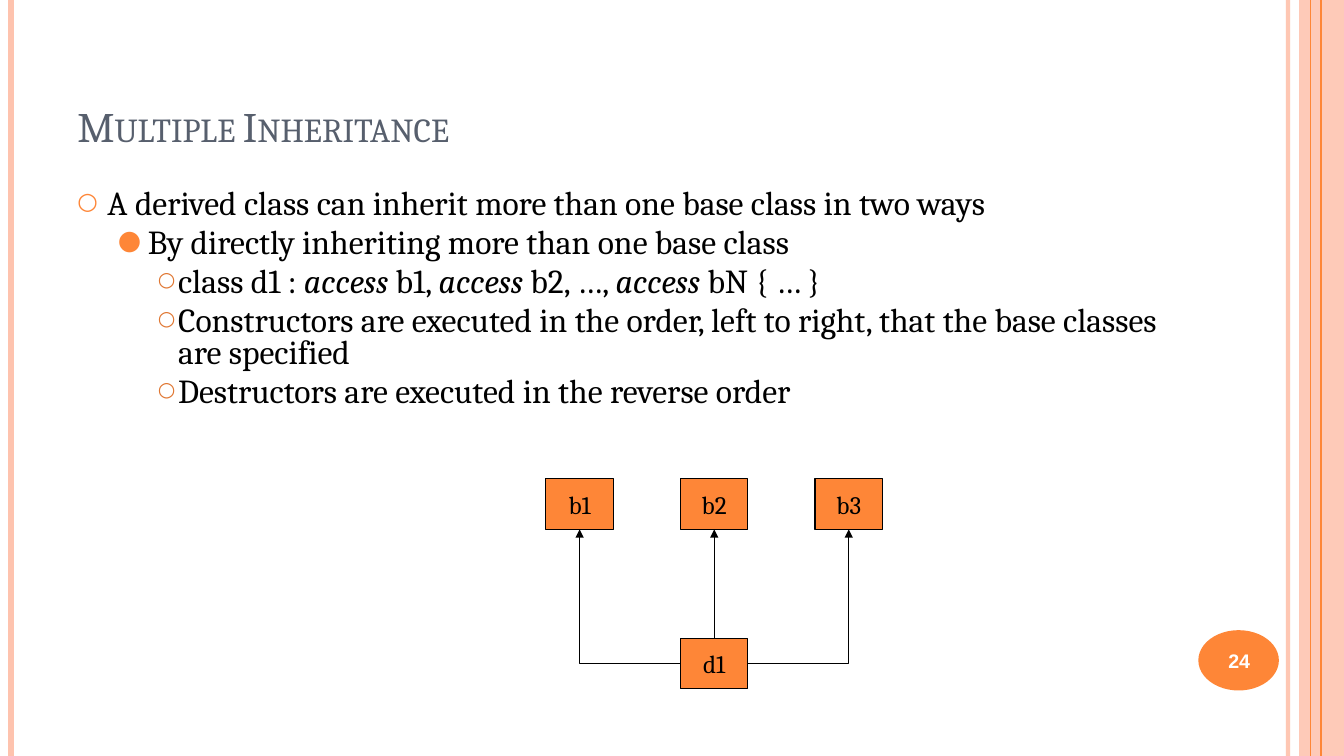
from dataclasses import dataclass

from lxml import etree
from pptx import Presentation
from pptx.dml.color import RGBColor
from pptx.enum.shapes import MSO_CONNECTOR as Link, MSO_SHAPE as Kind
from pptx.enum.text import MSO_ANCHOR as Anchor, PP_ALIGN as Align
from pptx.oxml.ns import qn
from pptx.util import Cm, Pt

ORANGE = RGBColor(0xFE, 0x86, 0x37)
RUST = RGBColor(0xE0, 0x76, 0x31)
PEACH = RGBColor(0xFE, 0xC3, 0xAE)
SLATE = RGBColor(0x57, 0x5F, 0x6D)
BLACK = RGBColor(0, 0, 0)
WHITE = RGBColor(0xFF, 0xFF, 0xFF)
SERIF, SANS = "Cambria", "Arial"
WIDE, HIGH = 33.87, 19.05
TOP, LEFT, BOTTOM, RIGHT = range(4)  # connection sites of a rectangle


@dataclass
class Rail:
    x: float
    width: float
    color: RGBColor
    alpha: int = 100


@dataclass
class Level:
    left: float
    hang: float
    mark: str
    color: RGBColor
    size: int
    lead: float = 1.0
    before: float = 0


@dataclass
class Point:
    level: int
    bits: list[str]  # every second bit is italic


@dataclass
class Node:
    name: str
    x: float
    y: float


RAILS = [
    Rail(32.46, 3, PEACH, 93),
    Rail(0.28, 4.5, PEACH),
    Rail(33.3, 1.5, ORANGE),
    Rail(33.02, 0.75, ORANGE),
]
LEVELS = [
    Level(0.76, 0.76, "○", ORANGE, 70),
    Level(1.78, 0.76, "●", ORANGE, 80, 0.8, 4.8),
    Level(2.54, 0.51, "○", RUST, 60, 0.8, 4.8),
]
POINTS = [
    Point(0, ["A derived class can inherit more than one base class in two ways"]),
    Point(1, ["By directly inheriting more than one base class"]),
    Point(2, ["class d1 : ", "access", " b1, ", "access", " b2, …, ",
              "access ", "bN { … }"]),
    Point(2, ["Constructors are executed in the order, left to right, "
              "that the base classes are specified"]),
    Point(2, ["Destructors are executed in the reverse order"]),
]
BASES = [Node(f"b{i + 1}", 13.76 + 3.39 * i, 12.07) for i in range(3)]
CHILD = Node("d1", BASES[1].x, 16.09)


def fade(fill, alpha: int) -> None:
    """Set the opacity, in percent, of the first solid colour in an element."""
    color = next(fill.iter(qn("a:srgbClr")))
    etree.SubElement(color, qn("a:alpha"), val=str(alpha * 1000))


def add_line(slide, kind, ends, color: RGBColor, width: float):
    line = slide.shapes.add_connector(kind, *(Cm(v) for v in ends))
    line.line.color.rgb = color
    line.line.width = Pt(width)
    etree.SubElement(line._element.spPr, qn("a:effectLst"))
    return line


def add_rail(slide, rail: Rail) -> None:
    line = add_line(slide, Link.STRAIGHT, (rail.x, 0, rail.x, HIGH),
                    rail.color, rail.width)
    if rail.alpha < 100:
        fade(line._element.spPr, rail.alpha)


def add_form(slide, kind, place, color: RGBColor):
    form = slide.shapes.add_shape(kind, *(Cm(v) for v in place))
    form.shadow.inherit = False
    form.fill.solid()
    form.fill.fore_color.rgb = color
    form.line.fill.background()
    return form


def add_box(slide, place, anchor=Anchor.TOP):
    frame = slide.shapes.add_textbox(*(Cm(v) for v in place)).text_frame
    frame.word_wrap = True
    frame.vertical_anchor = anchor
    return frame


def style(font, size: float, color: RGBColor, name: str = SERIF) -> None:
    font.size = Pt(size)
    font.name = name
    font.color.rgb = color


def write(frame, text: str, size: float, color: RGBColor, name: str = SERIF):
    frame.text = text
    run = frame.paragraphs[0].runs[0]
    style(run.font, size, color, name)
    return run


def add_bullet(para, level: Level) -> None:
    props = para._p.get_or_add_pPr()
    props.set("marL", str(Cm(level.left)))
    props.set("indent", str(-Cm(level.hang)))
    para.line_spacing = level.lead
    para.space_before = Pt(level.before)
    tint = etree.SubElement(props, qn("a:buClr"))
    etree.SubElement(tint, qn("a:srgbClr"), val=str(level.color))
    etree.SubElement(props, qn("a:buSzPct"), val=str(level.size * 1000))
    etree.SubElement(props, qn("a:buFont"), typeface=SERIF)
    etree.SubElement(props, qn("a:buChar"), char=level.mark)


def add_points(frame, points: list[Point]) -> None:
    for i, point in enumerate(points):
        para = frame.add_paragraph() if i else frame.paragraphs[0]
        para.level = point.level
        add_bullet(para, LEVELS[point.level])
        for j, bit in enumerate(point.bits):
            run = para.add_run()
            run.text = bit
            style(run.font, 24, BLACK)
            run.font.italic = j % 2 == 1


def add_node(slide, node: Node):
    form = add_form(slide, Kind.RECTANGLE, (node.x, node.y, 1.7, 1.27), ORANGE)
    form.line.color.rgb = BLACK
    form.line.width = Pt(0.75)
    frame = form.text_frame
    write(frame, node.name, 18, BLACK)
    frame.word_wrap = False
    frame.vertical_anchor = Anchor.MIDDLE
    frame.paragraphs[0].alignment = Align.CENTER
    return form


def add_arrow(slide, child, site: int, base) -> None:
    """Join a side of the child to the bottom of a base."""
    kind = Link.STRAIGHT if site == TOP else Link.ELBOW
    line = add_line(slide, kind, (0, 0, 0, 0), BLACK, 0.75)
    line.begin_connect(child, site)
    line.end_connect(base, BOTTOM)
    props = line._element.spPr
    if kind == Link.ELBOW:
        props.find(qn("a:prstGeom")).set("prst", "bentConnector2")
    etree.SubElement(props.get_or_add_ln(), qn("a:tailEnd"), type="triangle")


def main() -> None:
    deck = Presentation()
    deck.slide_width, deck.slide_height = Cm(WIDE), Cm(HIGH)
    slide = deck.slides.add_slide(deck.slide_layouts[6])

    band = add_form(slide, Kind.RECTANGLE, (32.74, 0, 1.13, HIGH), PEACH)
    fade(band._element.spPr, 87)
    for rail in RAILS:
        add_rail(slide, rail)
    add_form(slide, Kind.OVAL, (30.2, 15.88, 2.03, 1.52), ORANGE)

    title = add_box(slide, (1.7, 0.76, 28.5, 3.18), Anchor.BOTTOM)
    run = write(title, "Multiple Inheritance", 30, SLATE)
    run._r.get_or_add_rPr().set("cap", "small")
    add_points(add_box(slide, (1.7, 4.45, 28.5, 13.54)), POINTS)

    page = add_box(slide, (30.1, 15.93, 2.26, 1.45), Anchor.MIDDLE)
    write(page, "24", 14, WHITE, SANS).font.bold = True
    page.paragraphs[0].alignment = Align.CENTER

    bases = [add_node(slide, base) for base in BASES]
    child = add_node(slide, CHILD)
    for site, base in zip((LEFT, TOP, RIGHT), bases):
        add_arrow(slide, child, site, base)
    deck.save("out.pptx")


if __name__ == "__main__":
    main()
